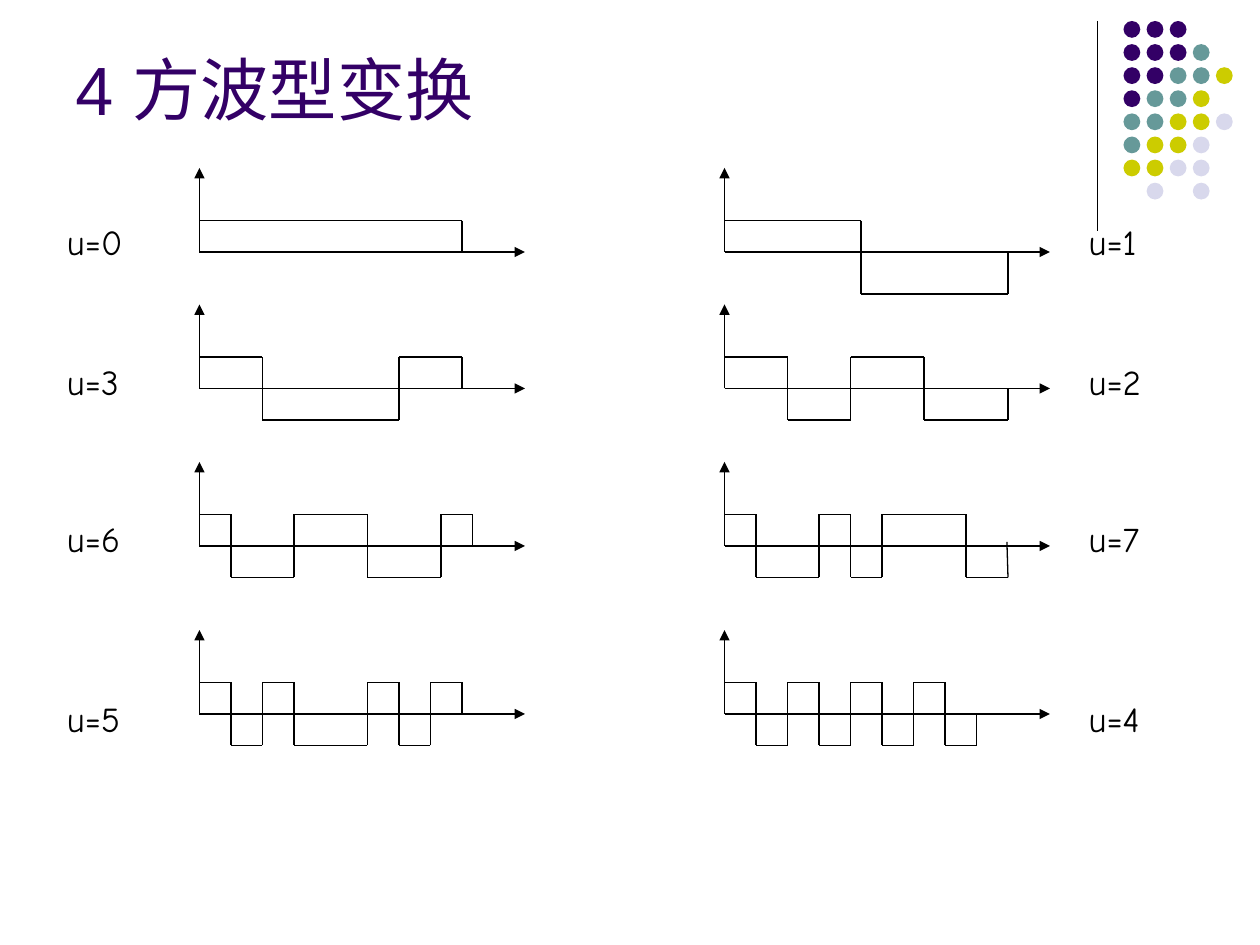
from lxml import etree
from pptx import Presentation
from pptx.dml.color import RGBColor
from pptx.enum.shapes import MSO_CONNECTOR, MSO_SHAPE
from pptx.enum.text import MSO_ANCHOR
from pptx.oxml.ns import qn
from pptx.util import Pt

PX = 7620  # EMU per px, 120 px to the inch
LINE = MSO_CONNECTOR.STRAIGHT
DOT = MSO_SHAPE.OVAL
TOP, BOTTOM = MSO_ANCHOR.TOP, MSO_ANCHOR.BOTTOM

prs = Presentation()
prs.slide_width, prs.slide_height = 1200 * PX, 900 * PX
slide = prs.slides.add_slide(prs.slide_layouts[6])
shapes = slide.shapes


def add_text(text, x, y, w, h, font="Comic Neue", size=20, color="000000", anchor=TOP):
    box = shapes.add_textbox(x * PX, y * PX, w * PX, h * PX)
    frame = box.text_frame
    frame.word_wrap = True
    frame.vertical_anchor = anchor
    par = frame.paragraphs[0]
    par.text = text
    par.font.name = font
    par.font.size = Pt(size)
    par.font.color.rgb = RGBColor.from_string(color)


def add_line(start, end, arrow=False):
    line = shapes.add_connector(LINE, *(v * PX for v in (*start, *end)))
    line.line.color.rgb = RGBColor.from_string("000000")
    line.line.width = Pt(0.75)
    if arrow:
        etree.SubElement(line.line._get_or_add_ln(), qn("a:tailEnd"), type="triangle")
    etree.SubElement(line._element.spPr, qn("a:effectLst"))


# Corner ornament: one letter per dot colour
add_line((1045, 20), (1045, 220))
hues = {"P": "330066", "T": "669999", "Y": "CCCC00", "L": "D8D8EC"}
dots = ["PPP", "PPPT", "PPTTY", "PTTY", "TTYYL", "TYYL", "YYLL", " L L"]
for row, marks in enumerate(dots):
    for col, mark in enumerate(marks):
        if mark in hues:
            dot = shapes.add_shape(DOT, (1070 + 22 * col) * PX, (20 + 22 * row) * PX,
                                   16 * PX, 16 * PX)
            dot.shadow.inherit = False
            dot.fill.solid()
            dot.fill.fore_color.rgb = RGBColor.from_string(hues[mark])
            dot.line.fill.background()

add_text("4 方波型变换", 60, 16, 990, 113,
         font="Arial", size=39, color="330066", anchor=BOTTOM)

# Each wave: label and the offsets at which it changes sign; the last one ends it
left = [
    ("u=0", [250]),
    ("u=3", [60, 190, 250]),
    ("u=6", [30, 90, 160, 230, 260]),
    ("u=5", [30, 60, 90, 160, 190, 220, 250]),
]
right = [
    ("u=1", [130, 270]),
    ("u=2", [60, 120, 190, 270]),
    ("u=7", [30, 90, 120, 150, 230, 270]),
    ("u=4", range(30, 241, 30)),
]
rows = [(240, 204), (370, 337), (520, 487), (680, 658)]  # axis and label heights

for x0, label_x, waves in ((190, 52, left), (690, 1025, right)):
    for (base, label_y), (label, edges) in zip(rows, waves):
        add_line((x0, base), (x0, base - 80), arrow=True)
        add_line((x0, base), (x0 + 310, base), arrow=True)

        depth = 40 if label == "u=1" else 30
        levels = (base - 30, base + depth)
        points = [(x0, levels[0])]
        for i, edge in enumerate(edges):
            points.append((x0 + edge, levels[i % 2]))
            points.append((x0 + edge, levels[(i + 1) % 2]))
        # The last edge of u=7 leans and overshoots the axis a little
        end = x0 + edges[-1]
        points[-1] = (end - 1, base - 4) if label == "u=7" else (end, base)
        for start, stop in zip(points, points[1:]):
            add_line(start, stop)

        add_text(label, label_x, label_y, 113, 53)

prs.save("out.pptx")
